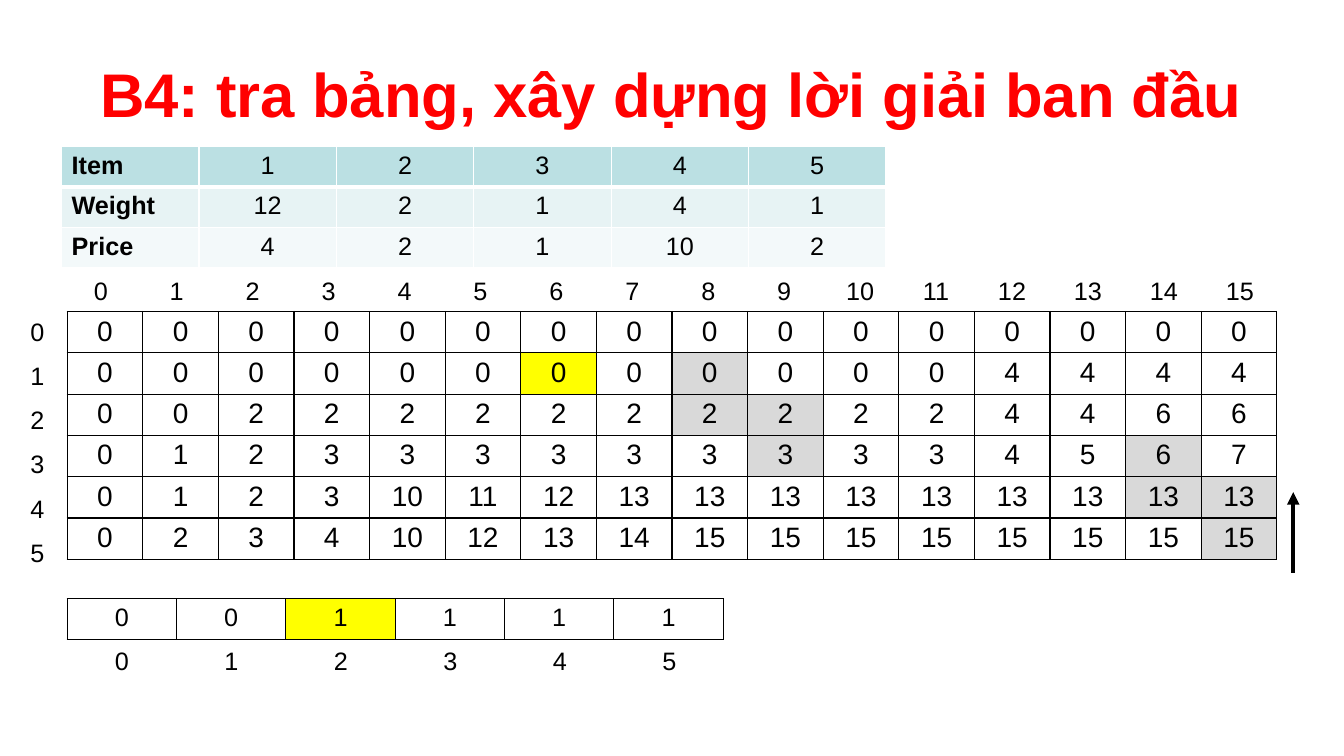
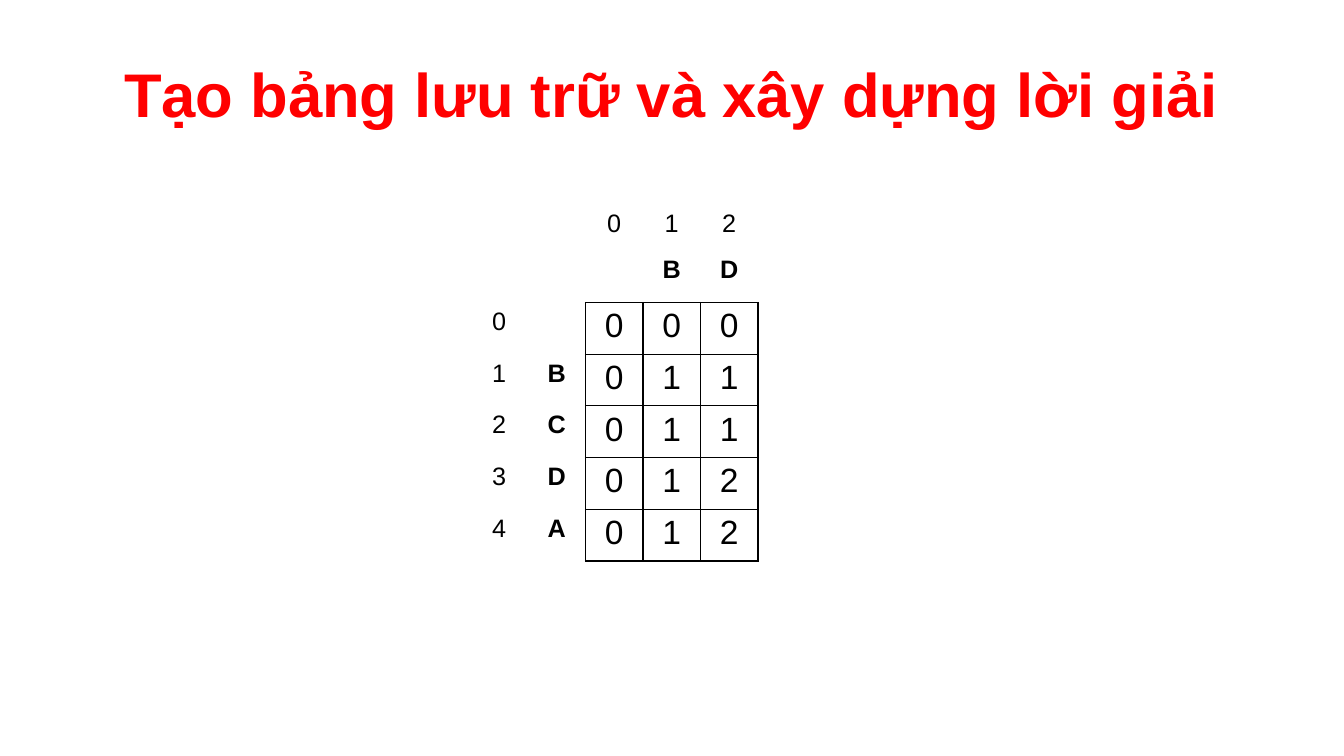
from lxml import etree
from pptx import Presentation
from pptx.dml.color import RGBColor
from pptx.enum import shapes, text
from pptx.oxml import ns
from pptx.util import Pt

FONT = "Arial"
BLACK = RGBColor(0x00, 0x00, 0x00)
WHITE = RGBColor(0xFF, 0xFF, 0xFF)
RED = RGBColor(0xFF, 0x00, 0x00)
YELLOW = RGBColor(0xFF, 0xFF, 0x00)
GRAY = RGBColor(0xD9, 0xD9, 0xD9)
TEAL = RGBColor(0xBB, 0xE0, 0xE3)
TEAL_LIGHT = RGBColor(0xE7, 0xF3, 0xF4)
TEAL_PALE = RGBColor(0xF3, 0xF9, 0xFA)
CENTER, LEFT = text.PP_ALIGN.CENTER, text.PP_ALIGN.LEFT


# Shared building blocks
def write(tf, content, size=18, bold=False, color=BLACK, align=CENTER):
    p = tf.paragraphs[0]
    p.alignment = align
    r = p.add_run()
    r.text = str(content)
    r.font.name, r.font.size, r.font.bold = FONT, Pt(size), bold
    r.font.color.rgb = color


def add_title_slide(prs, title):
    s = prs.slides.add_slide(prs.slide_layouts[5])
    sp = s.shapes.title
    sp.left, sp.top, sp.width, sp.height = Pt(48), Pt(21.6), Pt(864), Pt(90)
    tf = sp.text_frame
    tf.auto_size = text.MSO_AUTO_SIZE.NONE
    tf.vertical_anchor = text.MSO_ANCHOR.MIDDLE
    write(tf, title, size=44, bold=True, color=RED)
    return s


def set_border(cell, side, color, width):
    tcPr = cell._tc.get_or_add_tcPr()
    ln = etree.SubElement(tcPr, ns.qn("a:ln" + side), w=str(Pt(width)))
    if color is None:
        etree.SubElement(ln, ns.qn("a:noFill"))
    else:
        fill = etree.SubElement(ln, ns.qn("a:solidFill"))
        etree.SubElement(fill, ns.qn("a:srgbClr"), val=str(color))


def add_grid(s, x, y, col_w, row_h, rows, size=18, bold=False, border=BLACK,
             fills=None, row_fills=None, labelled=False, pad=3.6):
    """Table of equal cells; labelled gives a bold first column and a thick rule."""
    n_rows, n_cols = len(rows), len(rows[0])
    table = s.shapes.add_table(n_rows, n_cols, Pt(x), Pt(y),
                               Pt(col_w * n_cols), Pt(row_h * n_rows)).table
    table.first_row = table.horz_banding = False
    for col in table.columns:
        col.width = Pt(col_w)
    for i, row in enumerate(rows):
        table.rows[i].height = Pt(row_h)
        for j, value in enumerate(row):
            cell = table.cell(i, j)
            cell.margin_top = cell.margin_bottom = Pt(pad)
            for side in "LRTB":
                thick = labelled and (i, side) in ((0, "B"), (1, "T"))
                set_border(cell, side, border, 3 if thick else 1)
            fill = row_fills[i] if row_fills else (fills or {}).get((i, j))
            if fill is None:
                cell.fill.background()
            else:
                cell.fill.solid()
                cell.fill.fore_color.rgb = fill
            if value != "":
                head = labelled and j == 0
                write(cell.text_frame, value, size, bold or head,
                      align=LEFT if head else CENTER)


def add_indexes(s, x, y, count, dx=0, dy=0):
    """Numbers from 0, centred on x and stepping by dx, dy."""
    w = 36
    for i in range(count):
        sp = s.shapes.add_textbox(Pt(x + i * dx - w / 2), Pt(y + i * dy), Pt(w), Pt(29))
        sp.text_frame.word_wrap = False
        write(sp.text_frame, i)


def add_arrow(s, x, bottom, top):
    line = s.shapes.add_connector(shapes.MSO_CONNECTOR.STRAIGHT,
                                  Pt(x), Pt(bottom), Pt(x), Pt(top))
    line.line.color.rgb, line.line.width = BLACK, Pt(3)
    etree.SubElement(line.line._get_or_add_ln(), ns.qn("a:tailEnd"), type="triangle")
    etree.SubElement(line._element.spPr, ns.qn("a:effectLst"))


# Regions of the knapsack slide
def add_items(s, x, y):
    rows = [["Item", 1, 2, 3, 4, 5],
            ["Weight", 12, 2, 1, 4, 1],
            ["Price", 4, 2, 1, 10, 2]]
    add_grid(s, x, y, 98.15, 28.6, rows, border=WHITE, labelled=True,
             row_fills=[TEAL, TEAL_LIGHT, TEAL_PALE])


def add_price_table(s, x, y):
    rows = [[0] * 16,
            [0] * 12 + [4] * 4,
            [0] * 2 + [2] * 10 + [4, 4, 6, 6],
            [0, 1, 2] + [3] * 9 + [4, 5, 6, 7],
            [0, 1, 2, 3, 10, 11, 12] + [13] * 9,
            [0, 2, 3, 4, 10, 12, 13, 14] + [15] * 8]
    trace = [(5, 15), (4, 15), (4, 14), (3, 14), (3, 9), (2, 9), (2, 8), (1, 8)]
    fills = {cell: GRAY for cell in trace}
    fills[1, 6] = YELLOW
    add_grid(s, x, y, 54, 29.52, rows, size=20, fills=fills, pad=3)
    add_indexes(s, x + 24, y - 29.5, 16, dx=54.24)
    add_indexes(s, x - 21.3, y, 6, dy=31.5)
    add_arrow(s, x + 875.8, y + 186.5, y + 129)


def add_choices(s, x, y):
    add_grid(s, x, y, 78.12, 29.2, [[0, 0, 1, 1, 1, 1]], fills={(0, 2): YELLOW})
    add_indexes(s, x + 39.1, y + 29.5, 6, dx=78.2)


# Region of the subsequence slide
def add_length_table(s, x, y):
    w, h = 41.1, 36.95
    rows = [[0, 0, 0], [0, 1, 1], [0, 1, 1], [0, 1, 2], [0, 1, 2]]
    add_grid(s, x, y, w, h, rows, size=24)
    add_grid(s, x, y - 70, w, h, [[0, 1, 2]], border=None)
    add_grid(s, x - 2 * w, y, w, h, [[i] for i in range(5)], border=None)
    add_grid(s, x, y - h, w, h, [["", "B", "D"]], bold=True, border=None)
    add_grid(s, x - w, y, w, h, [[c] for c in ("", "B", "C", "D", "A")],
             bold=True, border=None)


# Slides
def build_knapsack(prs):
    s = add_title_slide(prs, "B4: tra bảng, xây dựng lời giải ban đầu")
    add_price_table(s, 48, 222.5)
    add_choices(s, 48, 427.7)
    add_items(s, 44, 104.6)


def build_subsequence(prs):
    s = add_title_slide(prs, "Tạo bảng lưu trữ và xây dựng lời giải")
    add_length_table(s, 418.2, 216)


def main():
    prs = Presentation()
    prs.slide_width, prs.slide_height = Pt(960), Pt(540)
    build_knapsack(prs)
    build_subsequence(prs)
    prs.save("out.pptx")


if __name__ == "__main__":
    main()
